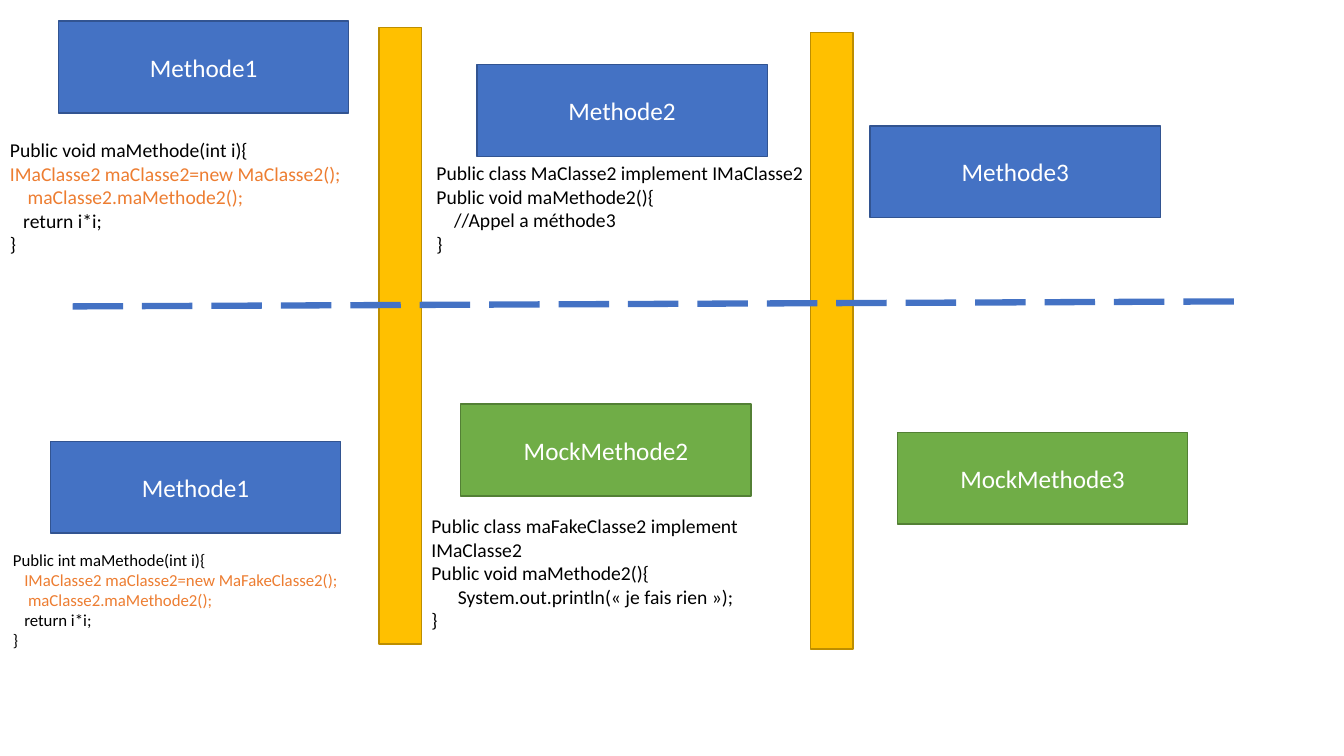
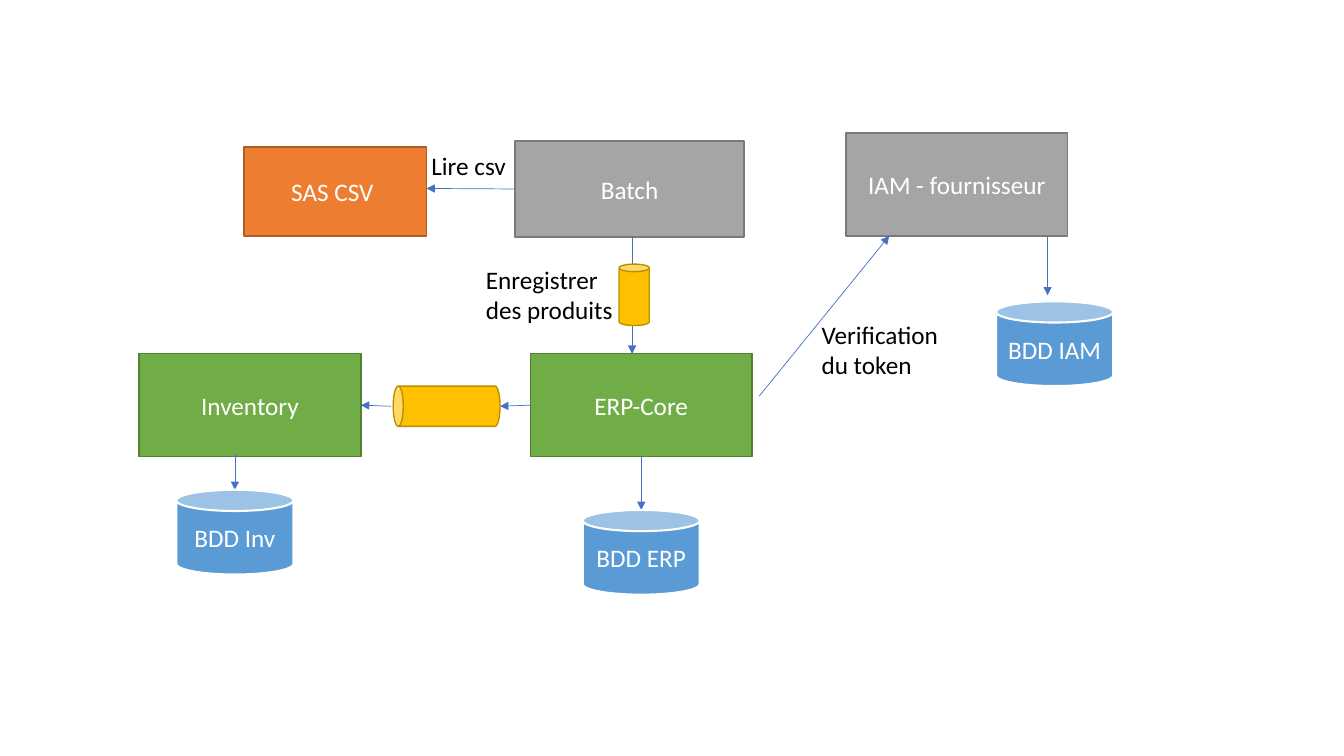
from lxml import etree
from pptx import Presentation
from pptx.dml.color import RGBColor
from pptx.enum.dml import MSO_LINE
from pptx.enum.shapes import MSO_CONNECTOR, MSO_SHAPE
from pptx.enum.text import MSO_ANCHOR, MSO_AUTO_SIZE, PP_ALIGN
from pptx.oxml.ns import qn
from pptx.util import Inches, Pt

RECTANGLE, CAN = MSO_SHAPE.RECTANGLE, MSO_SHAPE.CAN
STRAIGHT, LONG_DASH = MSO_CONNECTOR.STRAIGHT, MSO_LINE.LONG_DASH
CENTER, MIDDLE = PP_ALIGN.CENTER, MSO_ANCHOR.MIDDLE
GROW = MSO_AUTO_SIZE.SHAPE_TO_FIT_TEXT

FONT = "Calibri"
COLORS = {"white": "FFFFFF", "black": "000000", "blue": "4472C4", "orange": "ED7D31"}
STYLES = {
    "blue": ("4472C4", "325491", 1),
    "green": ("70AD47", "538035", 1),
    "gold": ("FFC000", "BD8E00", 1),
    "orange": ("ED7D31", "AF5C24", 1),
    "gray": ("A5A5A5", "7A7A7A", 1),
    "database": ("5B9BD5", "FFFFFF", 1.5),
}

METHOD_SIZE = (2.88, 0.91)
METHODS = [
    ("Methode1", "blue", 0.58, 0.21),
    ("Methode2", "blue", 4.73, 0.64),
    ("Methode3", "blue", 8.63, 1.25),
    ("MockMethode2", "green", 4.57, 4.01),
    ("MockMethode3", "green", 8.9, 4.29),
    ("Methode1", "blue", 0.5, 4.38),
]
BAR_SIZE = (0.42, 6.12)
BARS = [(3.76, 0.27), (8.04, 0.32)]
SEPARATOR = ((0.72, 3.04), (12.33, 2.99))
CODE_BLOCKS = [
    ((0, 1.32, 3.8, 1.28), 14, [
        ("Public void maMethode(int i){", "black"),
        ("IMaClasse2 maClasse2=new MaClasse2();", "orange"),
        ("    maClasse2.maMethode2();", "orange"),
        ("   return i*i;", "black"),
        ("}", "black"),
    ]),
    ((4.23, 1.55, 4.02, 1.04), 14, [
        ("Public class MaClasse2 implement IMaClasse2", "black"),
        ("Public void maMethode2(){", "black"),
        ("    //Appel a méthode3", "black"),
        ("}", "black"),
    ]),
    ((4.18, 5.05, 4.15, 1.28), 14, [
        ("Public class maFakeClasse2 implement IMaClasse2", "black"),
        ("Public void maMethode2(){", "black"),
        ("      System.out.println(« je fais rien »);", "black"),
        ("}", "black"),
    ]),
    ((0.03, 5.4, 3.74, 1.11), 12, [
        ("Public int maMethode(int i){", "black"),
        ("   IMaClasse2 maClasse2=new MaFakeClasse2();", "orange"),
        ("    maClasse2.maMethode2();", "orange"),
        ("   return i*i;", "black"),
        ("}", "black"),
    ]),
]

SYSTEMS = [
    ("SAS CSV ", "orange", (2.42, 1.46, 1.81, 0.88)),
    ("Batch", "gray", (5.11, 1.4, 2.27, 0.95)),
    ("IAM - fournisseur", "gray", (8.39, 1.32, 2.2, 1.02)),
    ("ERP-Core", "green", (5.26, 3.51, 2.2, 1.02)),
    ("Inventory", "green", (1.38, 3.51, 2.2, 1.02)),
]
DATABASE_SIZE = (1.16, 0.84)
DATABASES = [("BDD ERP", 5.78, 5.06), ("BDD Inv", 1.75, 4.86), ("BDD IAM", 9.88, 2.99)]
QUEUES = [((4.23, 3.5, 0.4, 1.06), 270), ((6.14, 2.62, 0.3, 0.61), 0)]
ARROWS = [
    ((5.11, 1.87), (4.23, 1.87), ("Batch", 1), None),
    ((6.27, 2.34), (6.27, 3.51), None, None),
    ((7.53, 3.93), (8.82, 2.34), None, None),
    ((5.26, 4.02), (4.96, 4.03), ("ERP-Core", 1), None),
    ((3.88, 4.03), (3.58, 4.02), None, ("Inventory", 3)),
    ((10.39, 2.34), (10.39, 2.93), None, None),
    ((6.36, 4.53), (6.36, 5.06), ("ERP-Core", 2), None),
    ((2.33, 4.5), (2.33, 4.86), None, None),
]
LABELS = [
    ("Verification du token", (8.05, 3.12, 1.55, 0.71)),
    ("Lire csv", (4.18, 1.44, 1.55, 0.4)),
    ("Enregistrer des produits", (4.72, 2.57, 1.55, 0.71)),
]


def rgb(value):
    return RGBColor.from_string(value)


def inches(values):
    return [Inches(value) for value in values]


def write_lines(frame, lines, size):
    frame.word_wrap = True
    for index, (text, color) in enumerate(lines):
        paragraph = frame.add_paragraph() if index else frame.paragraphs[0]
        paragraph.text = text
        paragraph.font.name = FONT
        paragraph.font.size = Pt(size)
        paragraph.font.color.rgb = rgb(COLORS[color])


def add_block(slide, kind, style, box, text=""):
    fill, line, width = STYLES[style]
    shape = slide.shapes.add_shape(kind, *inches(box))
    shape.shadow.inherit = False
    shape.fill.solid()
    shape.fill.fore_color.rgb = rgb(fill)
    shape.line.color.rgb = rgb(line)
    shape.line.width = Pt(width)
    if text:
        write_lines(shape.text_frame, [(text, "white")], 18)
        shape.text_frame.vertical_anchor = MIDDLE
        shape.text_frame.paragraphs[0].alignment = CENTER
    return shape


def add_text(slide, box, lines, size):
    frame = slide.shapes.add_textbox(*inches(box)).text_frame
    write_lines(frame, lines, size)
    frame.auto_size = GROW


def add_line(slide, start, end, width):
    connector = slide.shapes.add_connector(STRAIGHT, *inches(start + end))
    connector.line.color.rgb = rgb(COLORS["blue"])
    connector.line.width = Pt(width)
    etree.SubElement(connector._element.spPr, qn("a:effectLst"))
    return connector


def build_mock_slide(slide):
    for text, style, left, top in METHODS:
        add_block(slide, RECTANGLE, style, (left, top) + METHOD_SIZE, text)
    for position in BARS:
        add_block(slide, RECTANGLE, "gold", position + BAR_SIZE)
    add_line(slide, *SEPARATOR, 4.5).line.dash_style = LONG_DASH
    for box, size, lines in CODE_BLOCKS:
        add_text(slide, box, lines, size)


def build_architecture_slide(slide):
    systems = {
        text: add_block(slide, RECTANGLE, style, box, text)
        for text, style, box in SYSTEMS
    }
    for start, end, source, target in ARROWS:
        arrow = add_line(slide, start, end, 0.5)
        etree.SubElement(arrow.line._get_or_add_ln(), qn("a:tailEnd"), type="triangle")
        if source:
            arrow.begin_connect(systems[source[0]], source[1])
        if target:
            arrow.end_connect(systems[target[0]], target[1])
    for text, left, top in DATABASES:
        add_block(slide, CAN, "database", (left, top) + DATABASE_SIZE, text)
    for box, rotation in QUEUES:
        add_block(slide, CAN, "gold", box).rotation = rotation
    for text, box in LABELS:
        add_text(slide, box, [(text, "black")], 18)


def main():
    presentation = Presentation()
    presentation.slide_width = Inches(13.33)
    presentation.slide_height = Inches(7.5)
    blank = presentation.slide_layouts[6]
    for build in (build_mock_slide, build_architecture_slide):
        build(presentation.slides.add_slide(blank))
    presentation.save("out.pptx")


if __name__ == "__main__":
    main()
